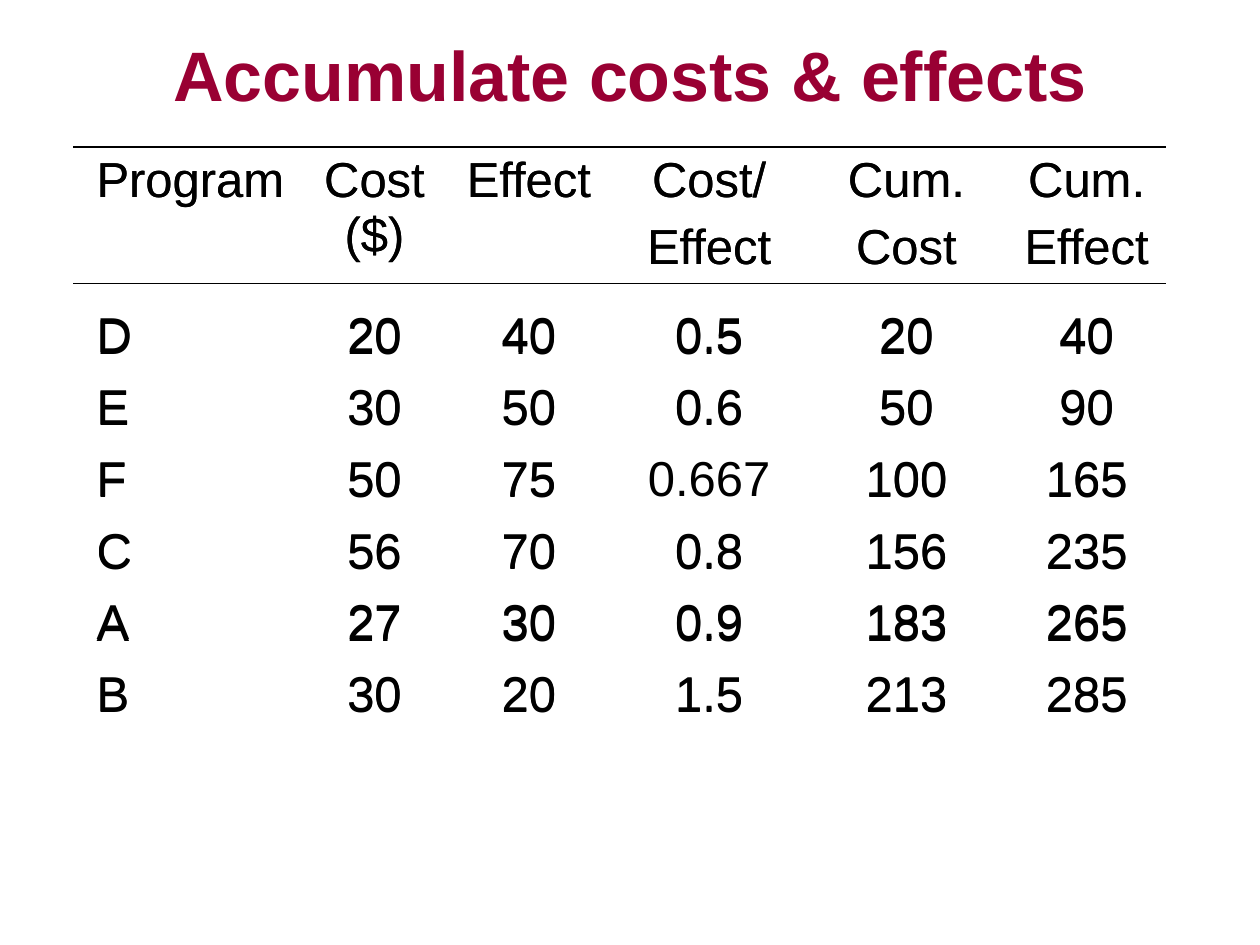
"""Build a slide that accumulates program costs and effects."""
from dataclasses import dataclass

from lxml import etree
from pptx import Presentation
from pptx.dml.color import RGBColor
from pptx.enum.shapes import MSO_CONNECTOR
from pptx.enum.text import MSO_ANCHOR, PP_ALIGN
from pptx.oxml.ns import qn
from pptx.util import Pt

LEFT, CENTER = PP_ALIGN.LEFT, PP_ALIGN.CENTER
MIDDLE, TOP = MSO_ANCHOR.MIDDLE, MSO_ANCHOR.TOP
STRAIGHT = MSO_CONNECTOR.STRAIGHT
NO_STYLE = "{2D5ABB26-0587-4C30-8999-92F81FD0307C}"
FONT, BLACK, CRIMSON = "Arial", "000000", "990033"

TABLE_X, TABLE_Y = 48, 84
COLUMNS = (126, 80, 96.5, 109.5, 116, 90)
ROW_H = 41
HEADER = ("Program", "Cost ($)", "Effect", "Cost/\nEffect", "Cum.\nCost", "Cum.\nEffect")
DATA = (
    ("D", "20", "40", "0.5", "20", "40"),
    ("E", "30", "50", "0.6", "50", "90"),
    ("F", "50", "75", "0.667", "100", "165"),
    ("C", "56", "70", "0.8", "156", "235"),
    ("A", "27", "30", "0.9", "183", "265"),
    ("B", "30", "20", "1.5", "213", "285"),
)


@dataclass(frozen=True)
class Layer:
    header_h: float
    rule_y: float
    omitted: tuple[str, ...] = ()


LAYERS = (Layer(88.8, 162), Layer(89.5, 84, ("0.667",)))


def color(value: str) -> RGBColor:
    return RGBColor.from_string(value)


def write(tf, text: str, *, size: float, fill: str = BLACK, bold: bool = False,
          align=CENTER, before: float = 0) -> None:
    for i, line in enumerate(text.split("\n")):
        p = tf.add_paragraph() if i else tf.paragraphs[0]
        p.alignment = align
        p.space_before = Pt(before)
        r = p.add_run()
        r.text = line
        r.font.name = FONT
        r.font.size = Pt(size)
        r.font.bold = bold
        r.font.color.rgb = color(fill)


def add_title(slide, text: str) -> None:
    sp = slide.shapes.title
    sp.left, sp.top, sp.width, sp.height = Pt(54), Pt(12), Pt(612), Pt(60)
    sp.text_frame.vertical_anchor = MIDDLE
    write(sp.text_frame, text, size=40, fill=CRIMSON, bold=True)


def add_program_table(slide, layer: Layer) -> None:
    rows = (HEADER, *DATA)
    heights = (layer.header_h, *[ROW_H] * len(DATA))
    frame = slide.shapes.add_table(len(rows), len(COLUMNS), Pt(TABLE_X), Pt(TABLE_Y),
                                   Pt(sum(COLUMNS)), Pt(sum(heights)))
    table = frame.table
    table.first_row = table.horz_banding = False
    table._tbl.tblPr.find(qn("a:tableStyleId")).text = NO_STYLE
    for column, width in zip(table.columns, COLUMNS):
        column.width = Pt(width)
    for i, (values, height) in enumerate(zip(rows, heights)):
        table.rows[i].height = Pt(height)
        for j, value in enumerate(values):
            cell = table.cell(i, j)
            cell.fill.background()
            cell.vertical_anchor = TOP
            if value not in layer.omitted:
                write(cell.text_frame, value, size=28, before=7,
                      align=CENTER if j else LEFT)


def add_rule(slide, y: float) -> None:
    sp = slide.shapes.add_connector(STRAIGHT, Pt(42), Pt(y), Pt(666), Pt(y))
    sp.line.color.rgb = color(BLACK)
    sp.line.width = Pt(1)
    etree.SubElement(sp._element.spPr, qn("a:effectLst"))


def main() -> None:
    prs = Presentation()
    prs.slide_width, prs.slide_height = Pt(720), Pt(540)
    slide = prs.slides.add_slide(prs.slide_layouts[5])
    add_title(slide, "Accumulate costs & effects")
    for layer in LAYERS:
        add_program_table(slide, layer)
        add_rule(slide, layer.rule_y)
    prs.save("out.pptx")


if __name__ == "__main__":
    main()
